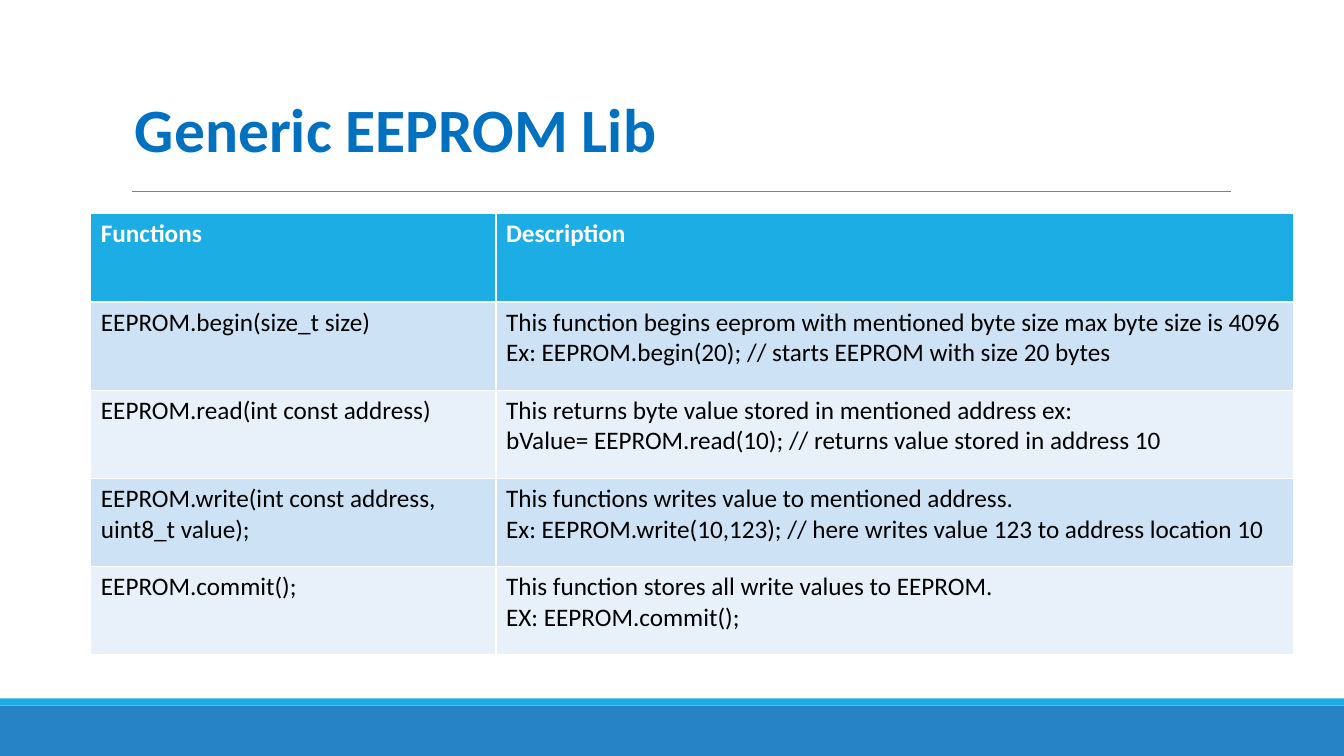
"""Build a slide that tabulates the functions of an EEPROM library."""
from dataclasses import dataclass

from lxml import etree
from pptx import Presentation
from pptx.dml.color import RGBColor
from pptx.enum.shapes import MSO_CONNECTOR, MSO_SHAPE
from pptx.enum.text import MSO_AUTO_SIZE
from pptx.oxml.ns import qn
from pptx.slide import Slide
from pptx.util import Cm, Pt

RECTANGLE = MSO_SHAPE.RECTANGLE
STRAIGHT = MSO_CONNECTOR.STRAIGHT
FIT_SHAPE = MSO_AUTO_SIZE.SHAPE_TO_FIT_TEXT

WHITE = RGBColor(0xFF, 0xFF, 0xFF)
BLACK = RGBColor(0x00, 0x00, 0x00)
GREY = RGBColor(0x80, 0x80, 0x80)
TITLE_BLUE = RGBColor(0x00, 0x70, 0xC0)
DARK_BLUE = RGBColor(0x26, 0x83, 0xC6)
SKY_BLUE = RGBColor(0x1C, 0xAD, 0xE4)
BAND_COLORS = (RGBColor(0xE8, 0xF1, 0xFA), RGBColor(0xCD, 0xE3, 0xF5))

FONT = "Calibri"
SLIDE_WIDTH = Cm(33.87)
SLIDE_HEIGHT = Cm(19.05)
COLUMN_WIDTHS = (Cm(10.21), Cm(20.09))
ROW_HEIGHT = Cm(2.22)


@dataclass(frozen=True)
class FooterBar:
    top: float
    height: float
    color: RGBColor


@dataclass(frozen=True)
class FunctionRow:
    function: str
    description: str


FOOTER_BARS = (
    FooterBar(17.78, 1.27, DARK_BLUE),
    FooterBar(17.6, 0.18, SKY_BLUE),
)

FUNCTION_ROWS = (
    FunctionRow("Functions", "Description"),
    FunctionRow(
        "EEPROM.begin(size_t size)",
        "This function begins eeprom with mentioned byte size max byte size is 4096 "
        "Ex: EEPROM.begin(20); // starts EEPROM with size 20 bytes",
    ),
    FunctionRow(
        "EEPROM.read(int const address)",
        "This returns byte value stored in mentioned address ex: \v"
        "bValue= EEPROM.read(10); // returns value stored in address 10",
    ),
    FunctionRow(
        "EEPROM.write(int const address, uint8_t value);",
        "This functions writes value to mentioned address. \v"
        "Ex: EEPROM.write(10,123); // here writes value 123 to address location 10",
    ),
    FunctionRow(
        "EEPROM.commit();",
        "This function stores all write values to EEPROM.\vEX: EEPROM.commit();",
    ),
)


def style_font(paragraph, size: int, color: RGBColor, bold: bool) -> None:
    font = paragraph.font
    font.name = FONT
    font.size = Pt(size)
    font.bold = bold
    font.color.rgb = color


def add_footer_bar(slide: Slide, bar: FooterBar) -> None:
    strip = slide.shapes.add_shape(
        RECTANGLE, 0, Cm(bar.top), SLIDE_WIDTH, Cm(bar.height)
    )
    strip.shadow.inherit = False
    strip.fill.solid()
    strip.fill.fore_color.rgb = bar.color
    strip.line.fill.background()


def add_title(slide: Slide, title: str) -> None:
    heading = slide.shapes.add_textbox(Cm(3.15), Cm(2.16), Cm(14.02), Cm(2.13))
    frame = heading.text_frame
    frame.word_wrap = False
    frame.auto_size = FIT_SHAPE
    frame.text = title
    style_font(frame.paragraphs[0], 44, TITLE_BLUE, True)


def add_title_rule(slide: Slide) -> None:
    rule = slide.shapes.add_connector(STRAIGHT, Cm(3.33), Cm(4.83), Cm(31.01), Cm(4.83))
    rule.line.color.rgb = GREY
    rule.line.width = Pt(0.5)
    etree.SubElement(rule.line._get_or_add_ln().getparent(), qn("a:effectLst"))


def add_function_table(slide: Slide, rows: tuple[FunctionRow, ...]) -> None:
    table = slide.shapes.add_table(
        len(rows), len(COLUMN_WIDTHS), Cm(2.29), Cm(5.39),
        sum(COLUMN_WIDTHS), ROW_HEIGHT * len(rows),
    ).table
    for column, width in zip(table.columns, COLUMN_WIDTHS):
        column.width = width
    for index, row in enumerate(rows):
        is_header = index == 0
        for cell, text in zip(table.rows[index].cells, (row.function, row.description)):
            cell.fill.solid()
            cell.fill.fore_color.rgb = SKY_BLUE if is_header else BAND_COLORS[index % 2]
            cell.text = text
            style_font(
                cell.text_frame.paragraphs[0], 18, WHITE if is_header else BLACK, is_header
            )


def main() -> None:
    presentation = Presentation()
    presentation.slide_width = SLIDE_WIDTH
    presentation.slide_height = SLIDE_HEIGHT
    slide = presentation.slides.add_slide(presentation.slide_layouts[6])
    for bar in FOOTER_BARS:
        add_footer_bar(slide, bar)
    add_title_rule(slide)
    add_title(slide, "Generic EEPROM Lib")
    add_function_table(slide, FUNCTION_ROWS)
    presentation.save("out.pptx")


if __name__ == "__main__":
    main()
